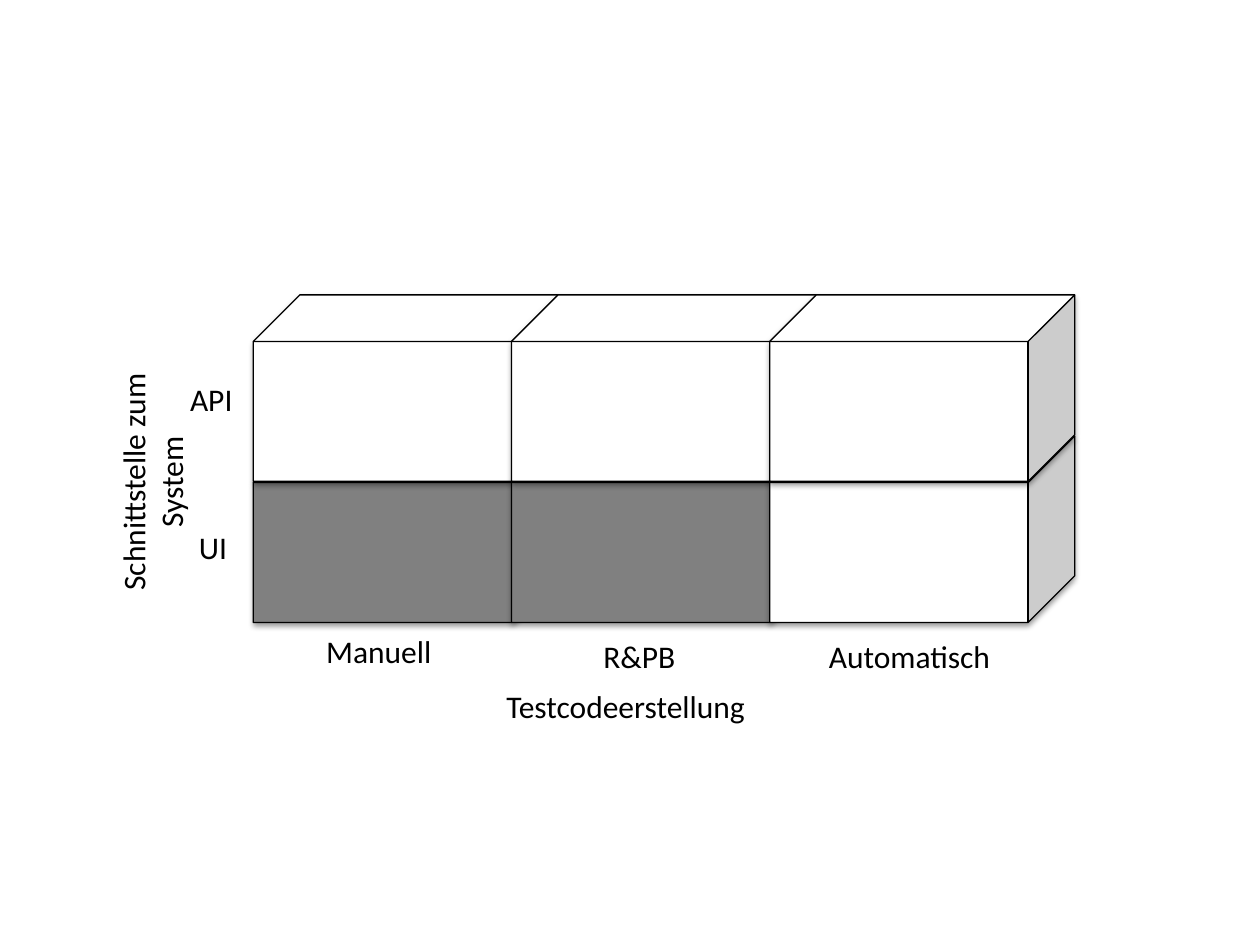
from lxml import etree
from pptx import Presentation
from pptx import util as u
from pptx.dml.color import RGBColor
from pptx.enum import shapes, text
from pptx.oxml import ns

COLORS = {"ink": "000000", "covered": "808080", "open": "FFFFFF"}

deck = Presentation()
deck.slide_width, deck.slide_height = u.Inches(10), u.Inches(7.5)
page = deck.slides.add_slide(deck.slide_layouts[6])


def add_label(wording, left, top, width, height=0.4, centred=False):
    box = page.shapes.add_textbox(*map(u.Inches, (left, top, width, height)))
    frame = box.text_frame
    frame.text = wording
    frame.word_wrap = True
    for para in frame.paragraphs:
        para.alignment = text.PP_ALIGN.CENTER if centred else text.PP_ALIGN.LEFT
        for span in para.runs:
            span.font.name, span.font.size = "Calibri", u.Pt(18)
            span.font.color.rgb = RGBColor.from_string(COLORS["ink"])
    return box


def add_shadow(shape):
    shape.shadow.inherit = False
    effects = shape._element.spPr.find(ns.qn("a:effectLst"))
    shadow = etree.SubElement(effects, ns.qn("a:outerShdw"), blurRad="40000",
                              dist="20000", dir="5400000", rotWithShape="0")
    color = etree.SubElement(shadow, ns.qn("a:srgbClr"), val=COLORS["ink"])
    etree.SubElement(color, ns.qn("a:alpha"), val="38000")


# Axis titles and category labels
add_label("API", 1.41, 2.97, 0.78)
add_label("UI", 1.48, 4.14, 0.63)
add_label("Schnittstelle zum\nSystem", -0.43, 3.47, 3.28, 0.71, centred=True).rotation = 270
add_label("Manuell", 2.49, 4.97, 1.25)
add_label("R&PB", 4.69, 5.01, 1.41)
add_label("Automatisch", 6.48, 5.01, 1.49)
add_label("Testcodeerstellung", 3.92, 5.4, 3.05)

# Cubes: columns from left to right, bottom row behind the top row
GRID_LEFT, GRID_TOP = 2.01, 2.34
COLUMN_STEP, ROW_STEP = 2.05, 1.12
CUBE_WIDTH, CUBE_HEIGHT = 2.42, 1.48
columns = [("open", "covered"), ("open", "covered"), ("open", "open")]
for column, states in enumerate(columns):
    for row in (1, 0):
        cube = page.shapes.add_shape(
            shapes.MSO_SHAPE.CUBE,
            u.Inches(GRID_LEFT + column * COLUMN_STEP),
            u.Inches(GRID_TOP + row * ROW_STEP),
            u.Inches(CUBE_WIDTH), u.Inches(CUBE_HEIGHT))
        cube.fill.solid()
        cube.fill.fore_color.rgb = RGBColor.from_string(COLORS[states[row]])
        cube.line.color.rgb = RGBColor.from_string(COLORS["ink"])
        cube.line.width = u.Pt(0)
        add_shadow(cube)

deck.save("out.pptx")
